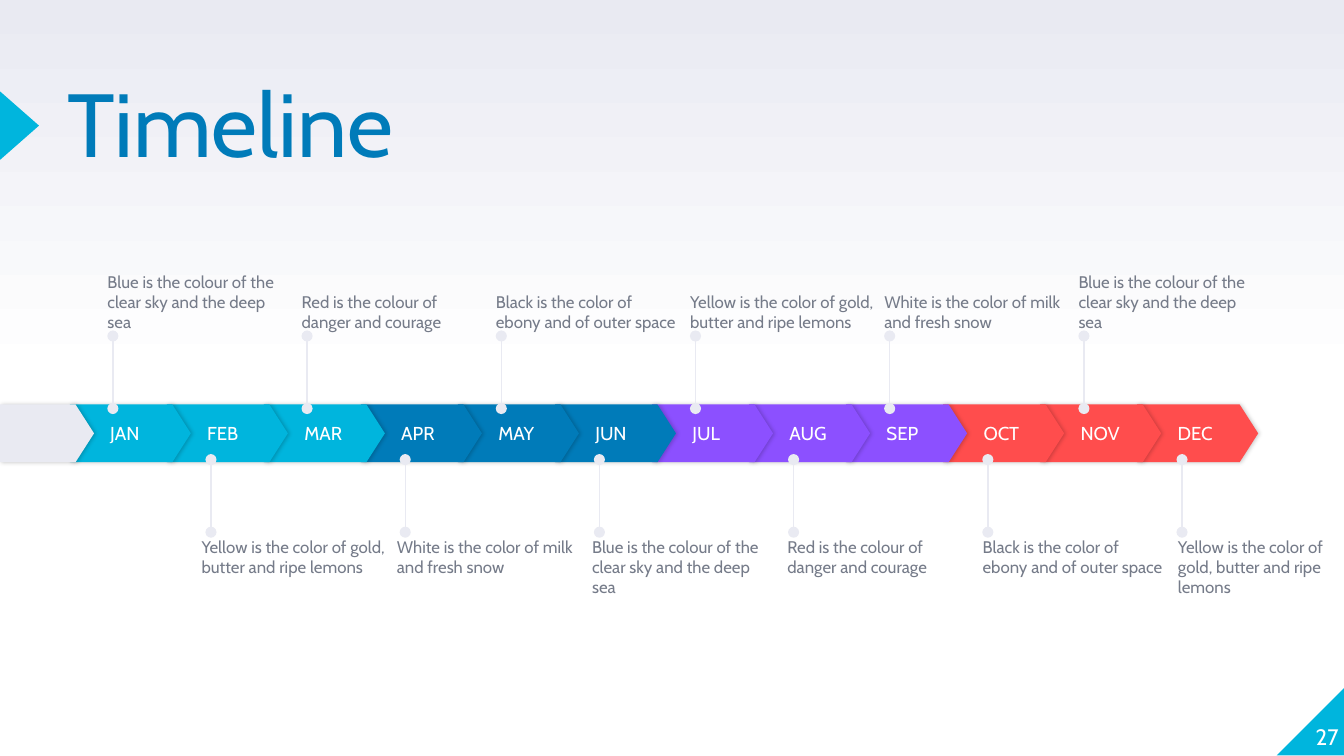
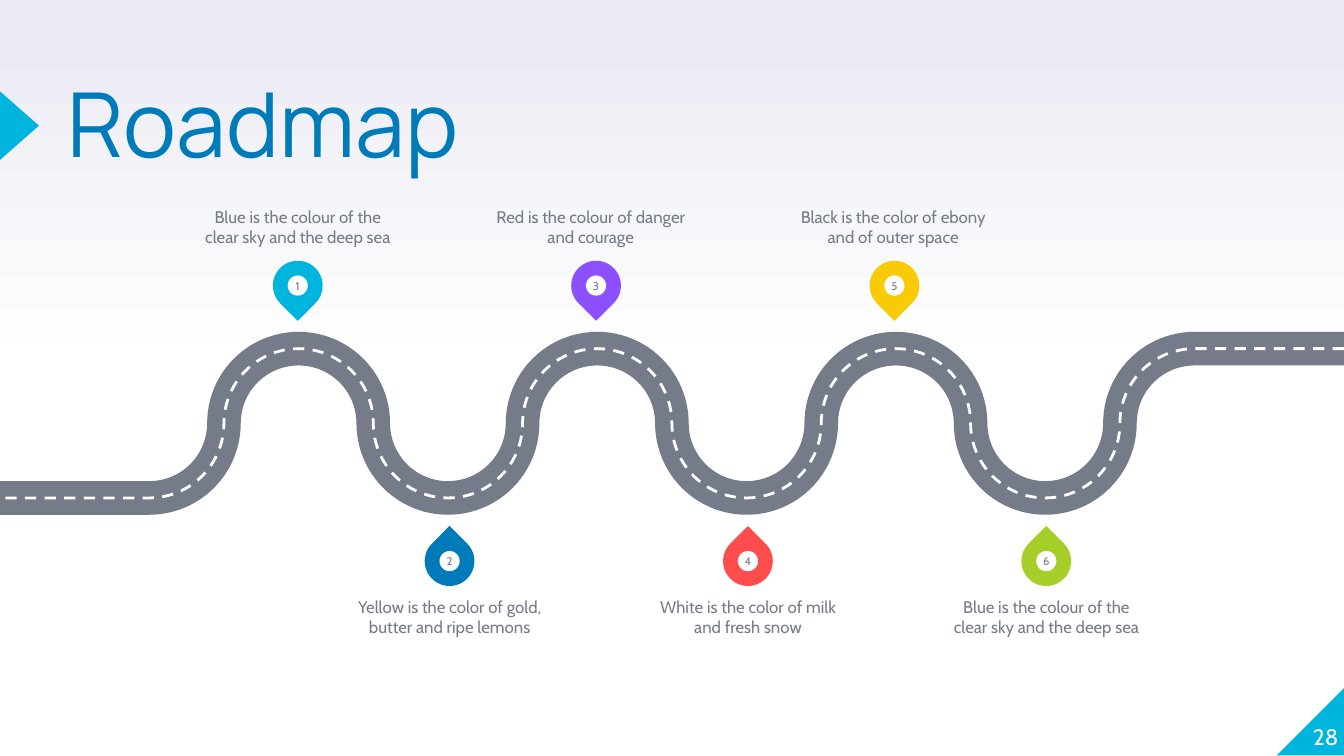
import lxml.etree
import pptx
import pptx.dml.color
import pptx.enum.dml
import pptx.enum.shapes
import pptx.enum.text
import pptx.oxml.ns
import pptx.util

Inches = pptx.util.Inches
Pt = pptx.util.Pt
qn = pptx.oxml.ns.qn
SHAPE = pptx.enum.shapes.MSO_SHAPE
ALIGN = pptx.enum.text.PP_ALIGN
ANCHOR = pptx.enum.text.MSO_ANCHOR

COLORS = {
    "cyan": "00B5DD", "blue": "007BB9", "purple": "8C50FF", "red": "FF4D4D",
    "yellow": "F9CB07", "green": "A6CE28", "gray": "757B89",
    "pale": "E9EAF2", "white": "FFFFFF", "black": "000000",
}
BODY_FONT = "Cabin"

BLUE_TEXT = "Blue is the colour of the clear sky and the deep sea"
YELLOW_TEXT = "Yellow is the color of gold, butter and ripe lemons"
RED_TEXT = "Red is the colour of danger and courage"
WHITE_TEXT = "White is the color of milk and fresh snow"
BLACK_TEXT = "Black is the color of ebony and of outer space"


def rgb(color):
    return pptx.dml.color.RGBColor.from_string(COLORS[color])


def add_xml(parent, tag, **attributes):
    return lxml.etree.SubElement(parent, qn(tag), attributes)


class Deck:
    def __init__(self):
        self.prs = pptx.Presentation()
        self.prs.slide_width = Inches(10)
        self.prs.slide_height = Inches(5.625)
        self.slide = None
        backdrop = self.prs.slide_master.background.fill
        backdrop.gradient()
        backdrop.gradient_angle = 90
        for stop, position, color in zip(
                backdrop.gradient_stops, (0.5, 1), ("white", "pale")):
            stop.position = position
            stop.color.rgb = rgb(color)

    def start_slide(self, heading, number, font=BODY_FONT):
        """Add a slide with its corner, title marker, title and number."""
        self.slide = self.prs.slides.add_slide(self.prs.slide_layouts[5])
        corner = self.shape(SHAPE.RIGHT_TRIANGLE, 9.5, 5.11, 0.51, 0.51, "cyan")
        corner.element.spPr.find(qn("a:xfrm")).set("flipH", "1")
        marker = self.shape(SHAPE.ISOSCELES_TRIANGLE, -0.11, 0.79, 0.51, 0.29, "cyan")
        marker.rotation = 90
        title = self.slide.shapes.title
        title.left, title.top = Inches(0.5), Inches(0.66)
        title.width, title.height = Inches(6.17), Inches(1.18)
        self.set_text(title, heading, 48, "blue", font=font)
        title.text_frame.paragraphs[0].line_spacing = 0.8
        self.text(str(number), 9.46, 5.07, 0.5, 0.51, 12, "white",
                  ALIGN.RIGHT, ANCHOR.BOTTOM)

    def set_text(self, holder, words, size, color, align=ALIGN.LEFT,
                 anchor=ANCHOR.TOP, indent=0, font=BODY_FONT):
        frame = holder.text_frame
        frame.text = words
        frame.word_wrap = True
        frame.auto_size = pptx.enum.text.MSO_AUTO_SIZE.NONE
        frame.vertical_anchor = anchor
        frame.margin_left = Inches(indent)
        frame.margin_top = frame.margin_right = frame.margin_bottom = 0
        paragraph = frame.paragraphs[0]
        paragraph.alignment = align
        style = paragraph.runs[0].font
        style.name, style.size = font, Pt(size)
        style.color.rgb = rgb(color)

    def text(self, words, left, top, width, height, size=9, color="gray",
             align=ALIGN.LEFT, anchor=ANCHOR.TOP):
        box = self.slide.shapes.add_textbox(
            Inches(left), Inches(top), Inches(width), Inches(height))
        self.set_text(box, words, size, color, align, anchor)

    def shape(self, kind, left, top, width, height, color, group=None):
        parent = group or self.slide
        item = parent.shapes.add_shape(
            kind, Inches(left), Inches(top), Inches(width), Inches(height))
        item.shadow.inherit = False
        item.fill.solid()
        item.fill.fore_color.rgb = rgb(color)
        item.line.fill.background()
        return item

    def plate(self, left, width, color, month=None):
        """Add one arrow of the timeline band, with a soft shadow."""
        arrow = self.shape(SHAPE.PENTAGON, left, 3.01, width, 0.43, color)
        arrow.adjustments[0] = 0.32
        effects = arrow.element.spPr.find(qn("a:effectLst"))
        shadow = add_xml(effects, "a:outerShdw", blurRad=str(Pt(2.2)),
                         dist=str(Pt(0.8)), dir="0", algn="ctr", rotWithShape="0")
        tint = add_xml(shadow, "a:srgbClr", val=COLORS["black"])
        add_xml(tint, "a:alpha", val="20000")
        if month:
            self.set_text(arrow, month, 10, "white", anchor=ANCHOR.MIDDLE, indent=0.3)

    def stem(self, x, start, end):
        """Add a vertical line with a dot at both ends."""
        line = self.slide.shapes.add_connector(
            pptx.enum.shapes.MSO_CONNECTOR.STRAIGHT,
            Inches(x), Inches(start), Inches(x), Inches(end))
        line.line.width = Pt(0.75)
        line.line.color.rgb = rgb("pale")
        properties = line.element.spPr
        outline = properties.find(qn("a:ln"))
        add_xml(outline, "a:headEnd", type="oval", w="med", len="med")
        add_xml(outline, "a:tailEnd", type="oval", w="med", len="med")
        add_xml(properties, "a:effectLst")

    def road(self, color, width, dash=None):
        """Draw the winding road, right to left, out of quarter circles."""
        radius, middle = 5 / 9, 3.15
        heights = (middle - radius, middle, middle + radius, middle)
        bends = [(10 - (i + 2) * radius, heights[i % 4]) for i in range(15)]
        stops = bends + [(0, heights[2])]
        builder = self.slide.shapes.build_freeform(Inches(10), Inches(heights[0]))
        builder.add_line_segments(
            [(Inches(x), Inches(y)) for x, y in stops], close=False)
        lane = builder.convert_to_shape()
        # Start angle and sweep of the quarter that ends at bend i, by i % 4
        quarters = ((0, -90), (270, -90), (0, 90), (90, 90))
        segments = list(lane.element.iter(qn("a:lnTo")))
        for i in range(1, len(bends)):
            start, sweep = quarters[i % 4]
            arc = add_xml(segments[i].getparent(), "a:arcTo",
                          wR=str(Inches(radius)), hR=str(Inches(radius)),
                          stAng=str(start * 60000), swAng=str(sweep * 60000))
            segments[i].getparent().replace(segments[i], arc)
        lane.shadow.inherit = False
        lane.fill.background()
        lane.line.color.rgb = rgb(color)
        lane.line.width = Pt(width)
        if dash:
            lane.line.dash_style = dash

    def pin(self, number, left, top, color, rotation):
        group = self.slide.shapes.add_group_shape()
        drop = self.shape(SHAPE.TEAR, left, top, 0.37, 0.37, color, group)
        drop.rotation = rotation
        badge = self.shape(SHAPE.OVAL, left + 0.11, top + 0.11, 0.15, 0.15,
                           "white", group)
        self.set_text(badge, str(number), 6, "gray", ALIGN.CENTER, ANCHOR.MIDDLE)


def build_timeline(deck):
    deck.start_slide("Timeline", 27)
    months = "JAN FEB MAR APR MAY JUN JUL AUG SEP OCT NOV DEC".split()
    quarter_colors = ("cyan", "blue", "purple", "red")
    for i in reversed(range(len(months))):
        deck.plate(0.52 + i * 0.722, 0.9, quarter_colors[i // 3], months[i])
    deck.plate(0, 0.7, "pale")

    above = (BLUE_TEXT, RED_TEXT, BLACK_TEXT, YELLOW_TEXT, WHITE_TEXT, BLUE_TEXT)
    for i, note in enumerate(above):
        deck.stem(0.84 + i * 1.445, 3.04, 2.5)
        deck.text(note, 0.8 + i * 1.445, 1.89, 1.37, 0.58, anchor=ANCHOR.BOTTOM)
    below = (YELLOW_TEXT, WHITE_TEXT, BLUE_TEXT, RED_TEXT, BLACK_TEXT, YELLOW_TEXT)
    for i, note in enumerate(below):
        deck.stem(1.57 + i * 1.445, 3.96, 3.42)
        width = 1.13 if i == len(below) - 1 else 1.37
        deck.text(note, 1.5 + i * 1.453, 3.99, width, 0.58)


def build_roadmap(deck):
    deck.start_slide("Roadmap", 28, font="Manrope")
    deck.road("gray", 18)
    deck.road("white", 1.5, pptx.enum.dml.MSO_LINE.DASH)

    pitch = 2.22
    above = (("cyan", BLUE_TEXT, 1.51), ("purple", RED_TEXT, 3.69),
             ("yellow", BLACK_TEXT, 5.94))
    for i, (color, note, note_left) in enumerate(above):
        deck.pin(2 * i + 1, 2.03 + i * pitch, 1.94, color, 135)
        deck.text(note, note_left, 1.26, 1.41, 0.58,
                  align=ALIGN.CENTER, anchor=ANCHOR.BOTTOM)
    below = (("blue", YELLOW_TEXT), ("red", WHITE_TEXT), ("green", BLUE_TEXT))
    for i, (color, note) in enumerate(below):
        deck.pin(2 * i + 2, 3.16 + i * pitch, 3.99, color, 315)
        deck.text(note, 2.64 + i * pitch, 4.44, 1.41, 0.58, align=ALIGN.CENTER)


def main():
    deck = Deck()
    build_timeline(deck)
    build_roadmap(deck)
    deck.prs.save("out.pptx")


if __name__ == "__main__":
    main()
